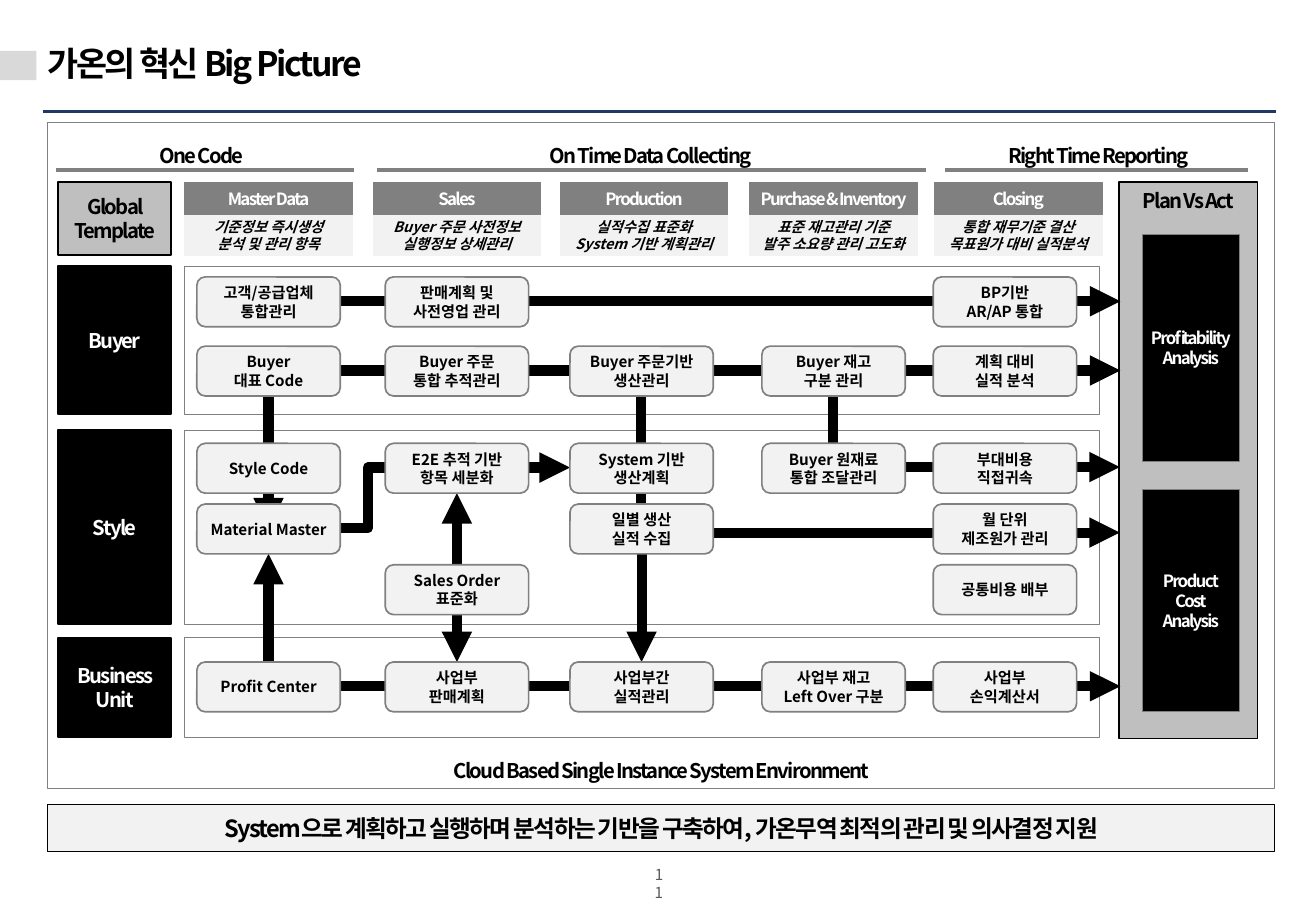
from lxml import etree
from pptx import Presentation
from pptx.dml.color import RGBColor
from pptx.enum.shapes import MSO_CONNECTOR, MSO_SHAPE
from pptx.enum.text import MSO_ANCHOR, PP_ALIGN
from pptx.oxml.ns import qn
from pptx.util import Pt

PX = 9144
FONT = "Noto Sans CJK KR"
BLACK = RGBColor(0x00, 0x00, 0x00)
WHITE = RGBColor(0xFF, 0xFF, 0xFF)
NAVY = RGBColor(0x20, 0x38, 0x64)
DARK_GRAY = RGBColor(0x59, 0x59, 0x59)
GRAY = RGBColor(0x80, 0x80, 0x80)
SILVER = RGBColor(0xBF, 0xBF, 0xBF)
LIGHT_GRAY = RGBColor(0xD9, 0xD9, 0xD9)
PALE = RGBColor(0xF2, 0xF2, 0xF2)
RECT, ROUNDED = MSO_SHAPE.RECTANGLE, MSO_SHAPE.ROUNDED_RECTANGLE
STRAIGHT, ELBOW = MSO_CONNECTOR.STRAIGHT, MSO_CONNECTOR.ELBOW
TOP, MIDDLE = MSO_ANCHOR.TOP, MSO_ANCHOR.MIDDLE
LEFT, CENTER = PP_ALIGN.LEFT, PP_ALIGN.CENTER

SECTIONS = [  # text, line left, line width, label left, label width
    ("One Code", 0, 245, 51, 138),
    ("On Time Data Collecting", 264, 452, 264, 451),
    ("Right Time Reporting", 732, 249, 731, 254),
]
COLUMNS = [
    (0, "Master Data", "기준정보 즉시생성\n분석 및 관리 항목"),
    (155, "Sales", "Buyer 주문 사전정보\n실행정보 상세관리"),
    (309, "Production", "실적수집 표준화\nSystem 기반 계획관리"),
    (465, "Purchase & Inventory", "표준 재고관리 기준\n발주 소요량 관리 고도화"),
    (617, "Closing", "통합 재무기준 결산\n목표원가 대비 실적분석"),
]
BANDS = [("Buyer", 0, 122), ("Style", 135, 160), ("Business Unit", 306, 82)]
COLUMN_LEFTS = [114, 269, 421, 579, 720]
ROW_TOPS = [9, 66, 146, 196, 246, 326]
STEP_WIDTH, STEP_HEIGHT = 118, 41
STEPS = [  # one list per row, one entry per column
    ["고객/공급업체\n통합관리", "판매계획 및\n사전영업 관리", None, None, "BP기반\nAR/AP 통합"],
    ["Buyer\n대표 Code", "Buyer 주문\n통합 추적관리", "Buyer 주문기반\n생산관리",
     "Buyer 재고\n구분 관리", "계획 대비\n실적 분석"],
    ["Style Code", "E2E 추적 기반\n항목 세분화", "System 기반\n생산계획",
     "Buyer 원재료\n통합 조달관리", "부대비용\n직접귀속"],
    ["Material Master", None, "일별 생산\n실적 수집", None, "월 단위\n제조원가 관리"],
    [None, "Sales Order\n표준화", None, None, "공통비용 배부"],
    ["Profit Center", "사업부\n판매계획", "사업부간\n실적관리",
     "사업부 재고\nLeft Over 구분", "사업부\n손익계산서"],
]


def write(shape, text, size, color=BLACK, bold=True, italic=False, spacing=-100,
          align=CENTER, anchor=MIDDLE, inset=0):
    """Fill a shape with text, one paragraph per line."""
    frame = shape.text_frame
    layout = {"word_wrap": True, "vertical_anchor": anchor,
              "margin_left": inset * PX, "margin_right": inset * PX,
              "margin_top": 5 * PX, "margin_bottom": 5 * PX}
    for name, value in layout.items():
        setattr(frame, name, value)
    frame.text = text
    for paragraph in frame.paragraphs:
        paragraph.alignment = align
        for run in paragraph.runs:
            style = {"name": FONT, "size": Pt(size), "bold": bold, "italic": italic}
            for name, value in style.items():
                setattr(run.font, name, value)
            run.font.color.rgb = color
            properties = run.font._element
            properties.set("spc", str(spacing))
            etree.SubElement(properties, qn("a:ea")).set("typeface", FONT)


def emu(box):
    return [length * PX for length in box]


def block(slide, box, fill=None, line=None, width=0.5, kind=RECT):
    shape = slide.shapes.add_shape(kind, *emu(box))
    shape.shadow.inherit = False
    for part, color in ((shape.fill, fill), (shape.line.fill, line)):
        if color is None:
            part.background()
        else:
            part.solid()
            part.fore_color.rgb = color
    if line is not None:
        shape.line.width = Pt(width)
    return shape


def label(slide, box, text, size, **style):
    write(slide.shapes.add_textbox(*emu(box)), text, size, **style)


def rule(slide, start, end, color, width, kind=STRAIGHT):
    line = slide.shapes.add_connector(kind, *emu((*start, *end)))
    line.line.color.rgb = color
    line.line.width = Pt(width)
    etree.SubElement(line._element.spPr, qn("a:effectLst"))
    return line


def arrow(slide, start, end, kind=STRAIGHT):
    line = rule(slide, start, end, BLACK, 6, kind)
    etree.SubElement(line.line._get_or_add_ln(), qn("a:tailEnd")).set("type", "triangle")
    return line


def step_arrow(slide, start, end, bend):
    """Run right, up or down at the given share of the width, then right again."""
    geometry = arrow(slide, start, end, ELBOW)._element.spPr.find(qn("a:prstGeom"))
    guide = etree.SubElement(geometry.find(qn("a:avLst")), qn("a:gd"))
    guide.set("name", "adj1")
    guide.set("fmla", f"val {round(bend * 100000)}")


def corner_arrow(slide, start, end):
    """Run down and then right: a flipped one-corner connector turned by 270 degrees."""
    (x1, y1), (x2, y2) = start, end
    mid_x, mid_y = (x1 + x2) / 2, (y1 + y2) / 2
    half_run, half_drop = (x2 - x1) / 2, (y2 - y1) / 2
    line = arrow(slide, (int(mid_x - half_drop), int(mid_y - half_run)),
                 (int(mid_x + half_drop), int(mid_y + half_run)), ELBOW)
    properties = line._element.spPr
    properties.find(qn("a:prstGeom")).set("prst", "bentConnector2")
    transform = properties.find(qn("a:xfrm"))
    transform.set("rot", "16200000")
    transform.set("flipH", "1")


def title_bar(slide, box):
    x, y, w, h = box
    rule(slide, (x + 35, y + h), (x + w, y + h), NAVY, 1.5)
    block(slide, (x, y + 12, 30, 24), LIGHT_GRAY)
    label(slide, (x + 30, y, 756, 43), "가온의 혁신 Big Picture", 20,
          spacing=-140, align=LEFT, inset=9)


def section_heads(slide, box):
    x, y, w, h = box
    for text, line_left, line_width, text_left, text_width in SECTIONS:
        rule(slide, (x + line_left, y + h), (x + line_left + line_width, y + h), GRAY, 2.25)
        label(slide, (x + text_left, y, text_width, 26), text, 12)


def column_heads(slide, box):
    x, y, w, h = box
    for left, name, note in COLUMNS:
        note_cell = block(slide, (x + left, y + 27, 138, h - 27), PALE, PALE)
        write(note_cell, note, 8.5, italic=True, spacing=0)
        write(block(slide, (x + left, y, 138, 27), GRAY, GRAY), name, 10, WHITE)


def report_panel(slide, box):
    x, y, w, h = box
    write(block(slide, box, SILVER, BLACK, 1), "Plan Vs Act", 12, anchor=TOP)
    for text, top, height in (("Profitability\nAnalysis", 43, 187),
                              ("Product\nCost\nAnalysis", 253, 183)):
        write(block(slide, (x + 19, y + top, 80, height), BLACK, GRAY), text, 10, WHITE)


def process_map(slide, box):
    x, y, w, h = box
    for name, top, height in BANDS:
        write(block(slide, (x, y + top, 93, height), BLACK, BLACK, 1), name, 12, WHITE, inset=10)
        block(slide, (x + 104, y + top, w - 104, height), line=GRAY)

    lefts = [x + left for left in COLUMN_LEFTS]
    tops = [y + top for top in ROW_TOPS]
    centers = [left + STEP_WIDTH // 2 for left in lefts]
    middles = [top + STEP_HEIGHT // 2 for top in tops]
    bottoms = [top + STEP_HEIGHT for top in tops]
    first_right = lefts[0] + STEP_WIDTH
    report = x + w + 17

    for row in (0, 1, 5):
        arrow(slide, (first_right, middles[row]), (report, middles[row]))
    for column, start, end in ((0, bottoms[1], middles[3]), (0, tops[5], bottoms[3]),
                               (1, tops[4], bottoms[2]), (1, bottoms[4], tops[5]),
                               (2, bottoms[3], tops[5])):
        arrow(slide, (centers[column], start), (centers[column], end))
    corner_arrow(slide, (centers[3], bottoms[1]), (report, middles[2]))
    corner_arrow(slide, (centers[2], bottoms[1]), (report, middles[3] + 4))
    step_arrow(slide, (first_right, middles[3]), (lefts[2], middles[2]), 0.12)

    for top, row in zip(tops, STEPS):
        for left, text in zip(lefts, row):
            if text:
                step = block(slide, (left, top, STEP_WIDTH, STEP_HEIGHT), PALE, GRAY, 1, ROUNDED)
                write(step, text, 9, spacing=0)


def footer(slide, box):
    x, y, w, h = box
    write(block(slide, (x, y, w, 39), PALE, BLACK),
          "System으로 계획하고 실행하며 분석하는 기반을 구축하여, 가온무역 최적의 관리 및 의사결정 지원", 14)
    label(slide, (x + 490, y + h - 25, 26, 25), "11", 9, color=DARK_GRAY,
          bold=False, spacing=-70, inset=10)


def main():
    deck = Presentation()
    deck.slide_width, deck.slide_height = 1083 * PX, 750 * PX
    slide = deck.slides.add_slide(deck.slide_layouts[6])
    title_bar(slide, (0, 30, 1050, 62))
    block(slide, (39, 101, 1010, 548), line=GRAY)
    section_heads(slide, (46, 115, 985, 25))
    write(block(slide, (48, 150, 93, 60), SILVER, BLACK, 1), "Global Template", 12)
    column_heads(slide, (152, 150, 755, 60))
    report_panel(slide, (921, 150, 114, 458))
    process_map(slide, (48, 219, 857, 388))
    label(slide, (310, 621, 469, 26), "Cloud Based Single Instance System Environment", 12)
    footer(slide, (39, 662, 1010, 78))
    deck.save("out.pptx")


if __name__ == "__main__":
    main()
